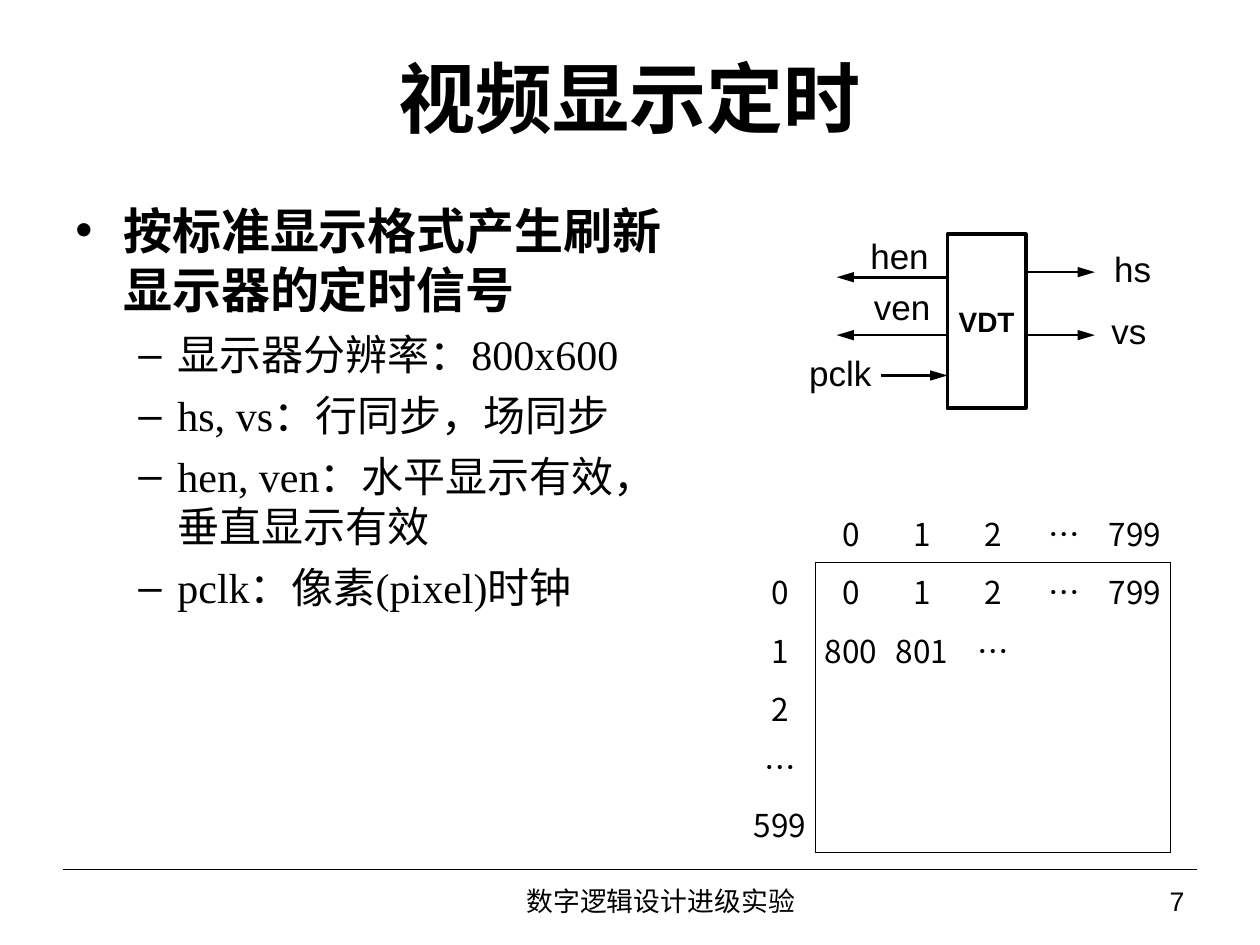
from lxml.etree import SubElement
from pptx import Presentation
from pptx.dml.color import RGBColor
from pptx.enum.shapes import MSO_CONNECTOR, MSO_SHAPE
from pptx.enum.text import MSO_ANCHOR as ANCHOR, PP_ALIGN as ALIGN
from pptx.oxml.ns import qn
from pptx.util import Inches, Pt

BLACK = RGBColor(0, 0, 0)
WHITE = RGBColor(255, 255, 255)
CJK_FONT = "Noto Sans CJK SC"
NO_STYLE = "{2D5ABB26-0587-4C30-8999-92F81FD0307C}"


def set_attributes(target, **values):
    """Set each named attribute of the target."""
    for name, value in values.items():
        setattr(target, name, value)


def write(paragraph, text, size, face="Arial", bold=False):
    """Add a black run with Latin and East Asian typefaces."""
    run = paragraph.add_run()
    run.text = text
    set_attributes(run.font, size=Pt(size), name=face, bold=bold)
    run.font.color.rgb = BLACK
    SubElement(run.font._element, qn("a:ea"), typeface=CJK_FONT)


def set_margins(target, horizontal, vertical):
    """Set the inner margins of a text frame or a table cell."""
    set_attributes(target, margin_left=Inches(horizontal), margin_right=Inches(horizontal),
                   margin_top=Inches(vertical), margin_bottom=Inches(vertical))


def add_line(shapes, start, end, width, arrow=False):
    """Draw a straight black line, with an arrowhead at its end if wanted."""
    points = [Inches(value) for value in (*start, *end)]
    connector = shapes.add_connector(MSO_CONNECTOR.STRAIGHT, *points)
    connector.line.width = Pt(width)
    connector.line.color.rgb = BLACK
    if arrow:
        SubElement(connector.line._get_or_add_ln(), qn("a:tailEnd"),
                   type="triangle", w="med", len="lg")
    SubElement(connector._element.spPr, qn("a:effectLst"))


def add_title(slide, box, text):
    """Place and format the title placeholder."""
    title = slide.shapes.title
    left, top, width, height = map(Inches, box)
    set_attributes(title, left=left, top=top, width=width, height=height)
    title.text_frame.vertical_anchor = ANCHOR.MIDDLE
    paragraph = title.text_frame.paragraphs[0]
    paragraph.alignment = ALIGN.CENTER
    write(paragraph, text, 44, "Times New Roman", True)


def add_bullets(slide, box, items):
    """Write a two-level bulleted list from (level, text) pairs."""
    formats = [
        {"size": 28, "bold": True, "bullet": "•", "indent": 0.38, "hanging": 0.38},
        {"size": 24, "bold": False, "bullet": "–", "indent": 0.81, "hanging": 0.31},
    ]
    frame = slide.shapes.add_textbox(*map(Inches, box)).text_frame
    frame.word_wrap = True
    for index, (level, text) in enumerate(items):
        style = formats[level]
        paragraph = frame.add_paragraph() if index else frame.paragraphs[0]
        set_attributes(paragraph, level=level, space_after=Pt(6))
        properties = paragraph._p.get_or_add_pPr()
        properties.set("marL", str(Inches(style["indent"])))
        properties.set("indent", str(-Inches(style["hanging"])))
        SubElement(properties, qn("a:buFont"), typeface="Arial")
        SubElement(properties, qn("a:buChar"), char=style["bullet"])
        write(paragraph, text, style["size"], "Times New Roman", style["bold"])


def add_timing_block(slide, box):
    """Draw the VDT block with its input and output signals."""
    shapes = slide.shapes.add_group_shape().shapes
    left, top, width, height = box
    right = left + width
    block = shapes.add_shape(MSO_SHAPE.RECTANGLE, *map(Inches, box))
    block.shadow.inherit = False
    block.fill.background()
    block.line.width = Pt(2.25)
    block.line.color.rgb = BLACK
    frame = block.text_frame
    set_attributes(frame, word_wrap=False, vertical_anchor=ANCHOR.MIDDLE)
    set_margins(frame, 0, 0)
    frame.paragraphs[0].alignment = ALIGN.CENTER
    write(frame.paragraphs[0], "VDT", 16, bold=True)

    label_width, label_height = 0.56, 0.34
    signals = [
        ("hs", right, right + 0.55, 0.3, 8.99, 0.1),
        ("vs", right, right + 0.55, 0.8, 8.96, 0.59),
        ("hen", left, left - 0.88, 0.34, 7.14, 0),
        ("ven", left, left - 0.88, 0.8, 7.16, 0.4),
        ("pclk", left - 0.53, left, 1.12, 6.67, 0.93),
    ]
    for name, start, end, arrow_offset, label_center, label_offset in signals:
        level = top + arrow_offset
        add_line(shapes, (start, level), (end, level), 1.5, arrow=True)
        label_box = (label_center - label_width / 2, top + label_offset,
                     label_width, label_height)
        frame = shapes.add_textbox(*map(Inches, label_box)).text_frame
        set_attributes(frame, word_wrap=False, vertical_anchor=ANCHOR.MIDDLE)
        set_margins(frame, 0, 0)
        frame.paragraphs[0].alignment = ALIGN.CENTER
        write(frame.paragraphs[0], name, 20)


def add_border(cell, side, visible):
    """Give one side of a cell a thin black border or none."""
    line = SubElement(cell._tc.get_or_add_tcPr(), qn(f"a:ln{side}"), w=str(Pt(0.45)))
    if visible:
        fill = SubElement(line, qn("a:solidFill"))
        SubElement(fill, qn("a:srgbClr"), val=str(BLACK))
    else:
        SubElement(line, qn("a:noFill"))


def add_pixel_table(slide, box, rows):
    """Build the pixel address table, with a frame around its data cells."""
    row_count, column_count = len(rows), len(rows[0])
    graphic = slide.shapes.add_table(row_count, column_count, *map(Inches, box))
    table = graphic.table
    set_attributes(table, first_row=False, horz_banding=False)
    table._tbl.tblPr.find(qn("a:tableStyleId")).text = NO_STYLE
    last_row, last_column = row_count - 1, column_count - 1
    for row, texts in enumerate(rows):
        for column, text in enumerate(texts):
            cell = table.cell(row, column)
            borders = {
                "L": row > 0 and column == 1,
                "R": row > 0 and column in (0, last_column),
                "T": row == 1 and column > 0,
                "B": column > 0 and row in (0, last_row),
            }
            for side, visible in borders.items():
                add_border(cell, side, visible)
            if row and column:
                cell.fill.solid()
                cell.fill.fore_color.rgb = WHITE
            else:
                cell.fill.background()
            cell.vertical_anchor = ANCHOR.MIDDLE
            set_margins(cell, 0.01, 0.05)
            paragraph = cell.text_frame.paragraphs[0]
            paragraph.alignment = ALIGN.CENTER
            if text:
                write(paragraph, text, 18, CJK_FONT)
            else:
                set_attributes(paragraph.font, size=Pt(18), name=CJK_FONT)


def add_footer(slide, box):
    """Draw the rule, the course name and the page number."""
    left, top, width, height = box
    add_line(slide.shapes, (left, top), (left + width, top), 0.75)
    parts = [("数字逻辑设计进级实验", 2.33, 4.83, ALIGN.CENTER),
             ("7", 7.25, 1.75, ALIGN.RIGHT)]
    for text, offset, part_width, alignment in parts:
        part_box = (left + offset, top + 0.08, part_width, height - 0.08)
        frame = slide.shapes.add_textbox(*map(Inches, part_box)).text_frame
        set_attributes(frame, word_wrap=True, vertical_anchor=ANCHOR.MIDDLE)
        set_attributes(frame.paragraphs[0], alignment=alignment, line_spacing=0.9)
        write(frame.paragraphs[0], text, 15.3)


def main():
    """Build the slide and save it."""
    presentation = Presentation()
    set_attributes(presentation, slide_width=Inches(10), slide_height=Inches(7.5))
    slide = presentation.slides.add_slide(presentation.slide_layouts[5])
    add_title(slide, (0.5, 0.3, 9, 0.93), "视频显示定时")
    add_bullets(slide, (0.5, 1.54, 4.97, 5.35), [
        (0, "按标准显示格式产生刷新显示器的定时信号"),
        (1, "显示器分辨率：800x600"),
        (1, "hs, vs：行同步，场同步"),
        (1, "hen, ven：水平显示有效，垂直显示有效"),
        (1, "pclk：像素(pixel)时钟"),
    ])
    add_pixel_table(slide, (5.91, 4, 3.38, 2.77), [
        ("", "0", "1", "2", "…", "799"),
        ("0", "0", "1", "2", "…", "799"),
        ("1", "800", "801", "…", "", ""),
        ("2", "", "", "", "", ""),
        ("…", "", "", "", "", ""),
        ("599", "", "", "", "", ""),
    ])
    add_timing_block(slide, (7.52, 1.86, 0.62, 1.38))
    add_footer(slide, (0.5, 6.9, 9, 0.45))
    presentation.save("out.pptx")


if __name__ == "__main__":
    main()
